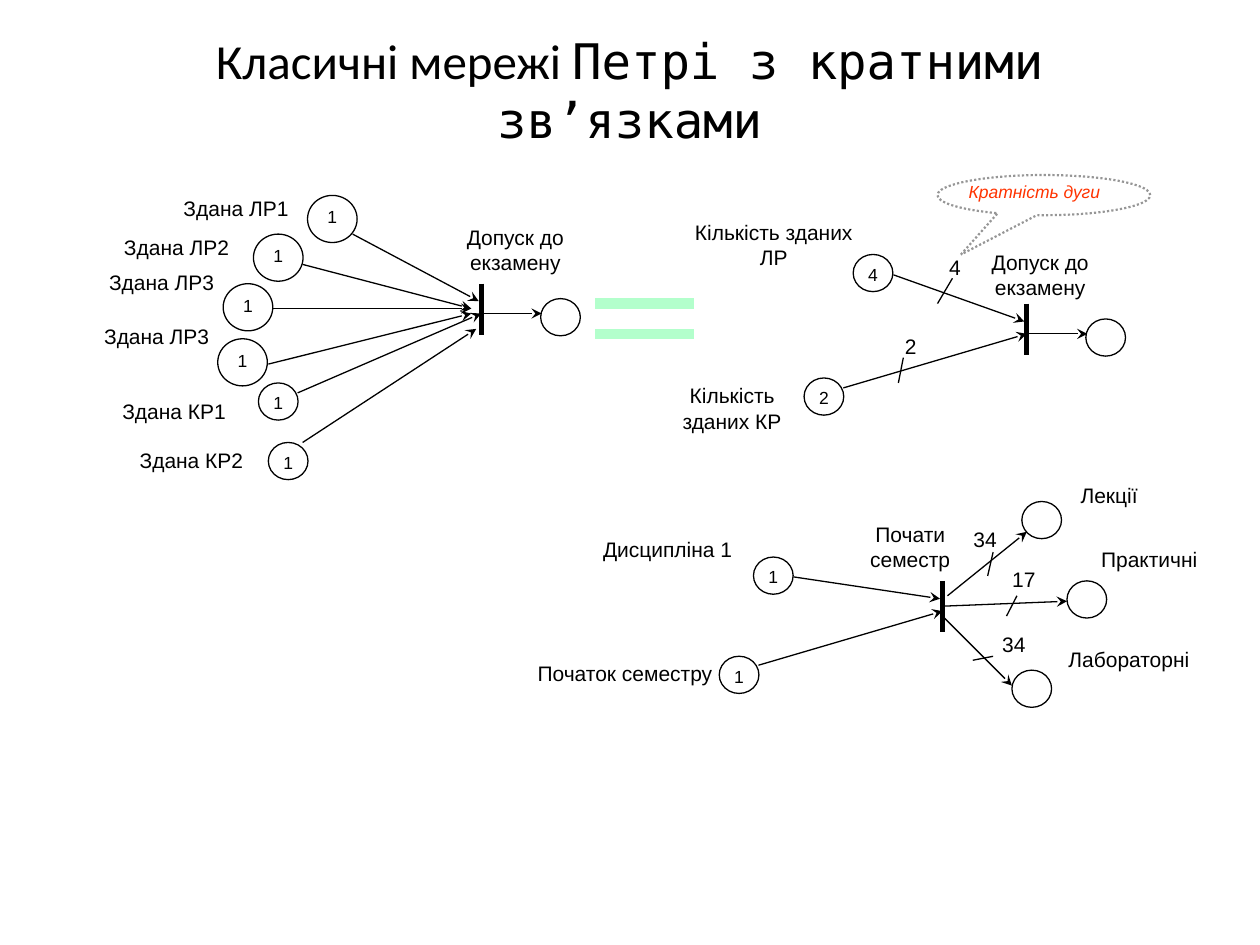
import dataclasses
from typing import Optional

import lxml.etree
import pptx
import pptx.dml.color
import pptx.enum.dml
import pptx.enum.shapes
import pptx.enum.text
import pptx.oxml.ns
import pptx.util

Cm, Pt = pptx.util.Cm, pptx.util.Pt
RGB = pptx.dml.color.RGBColor
SHAPES = pptx.enum.shapes.MSO_SHAPE
CENTER = pptx.enum.text.PP_ALIGN.CENTER
LEFT = pptx.enum.text.PP_ALIGN.LEFT


@dataclasses.dataclass(frozen=True)
class Theme:
    ink: RGB = RGB(0, 0, 0)
    paper: RGB = RGB(255, 255, 255)
    equals: RGB = RGB(0xB3, 0xFF, 0xCC)
    callout_line: RGB = RGB(0x96, 0x96, 0x96)
    callout_text: RGB = RGB(0xFF, 0x33, 0x00)
    body_font: str = "Arial"
    title_fonts: tuple = ("Calibri", "DejaVu Sans Mono")
    title_size: float = 28
    label_size: float = 12
    token_size: float = 10
    thin: float = 0.75
    dotted: float = 1.25
    bar: float = 3
    equals_bar: float = 6


THEME = Theme()
BAR_HEIGHT = 1.04


# All positions and sizes below are in centimetres
@dataclasses.dataclass(frozen=True)
class Label:
    text: str
    left: float
    top: float
    width: float = 0.7
    height: float = 0.5


@dataclasses.dataclass(frozen=True)
class Place:
    left: float
    top: float
    tokens: str = ""
    width: float = 0.8
    height: float = 0.75


@dataclasses.dataclass(frozen=True)
class Segment:
    x1: float
    y1: float
    x2: float
    y2: float


@dataclasses.dataclass(frozen=True)
class Net:
    transition: tuple
    labels: list
    arcs: list
    places: list
    ticks: list = dataclasses.field(default_factory=list)


def big_place(left: float, top: float) -> Place:
    return Place(left, top, "1", 1.0, 0.95)


# Net with one place per passed work
single_arcs = Net(
    transition=(9.7, 5.72),
    labels=[
        Label("Здана ЛР1", 3.51, 3.94, 2.5), Label("Здана ЛР2", 2.31, 4.72, 2.5),
        Label("Здана ЛР3", 2.01, 5.44, 2.5), Label("Здана ЛР3", 1.91, 6.53, 2.5),
        Label("Здана КР1", 1.91, 8.03, 3.2), Label("Здана КР2", 2.51, 9.02, 2.7),
        Label("Допуск до екзамену", 8.99, 4.52, 2.8, 1),
    ],
    arcs=[
        Segment(7.11, 4.72, 9.65, 6.07), Segment(6.1, 5.33, 9.5, 6.22),
        Segment(5.51, 6.22, 9.5, 6.22), Segment(5.41, 7.34, 9.5, 6.32),
        Segment(6, 7.92, 9.7, 6.32), Segment(6.1, 8.92, 9.6, 6.63),
        Segment(9.7, 6.32, 10.92, 6.32),
    ],
    places=[
        big_place(6.2, 3.94), big_place(5.11, 4.72), big_place(4.5, 5.72),
        big_place(4.39, 6.83), Place(5.21, 7.72, "1"), Place(5.41, 8.92, "1"),
        Place(10.9, 6.02),
    ],
)

# Equivalent net with arc multiplicities
multiple_arcs = Net(
    transition=(20.7, 6.12),
    labels=[
        Label("Кількість зданих ЛР", 14, 4.42, 3.2, 1),
        Label("Кількість зданих КР", 13.41, 7.72, 2.7, 1),
        Label("Допуск до екзамену", 19.91, 5.03, 2.12, 1),
        Label("4", 18.9, 5.13), Label("2", 18.01, 6.73),
    ],
    arcs=[
        Segment(18.01, 5.54, 20.65, 6.48), Segment(17, 7.82, 20.7, 6.73),
        Segment(20.7, 6.73, 21.92, 6.73),
    ],
    places=[Place(17.2, 5.13, "4"), Place(16.21, 7.62, "2"), Place(21.89, 6.43)],
    ticks=[Segment(19.2, 5.61, 18.9, 6.12), Segment(18.21, 7.21, 18.11, 7.72)],
)

# Net of the semester start
semester = Net(
    transition=(19, 11.71),
    labels=[
        Label("Дисципліна 1", 11.81, 10.82, 3.3, 0.4),
        Label("Початок семестру", 10.8, 13.31, 3.6, 0.6),
        Label("Почати семестр", 17.3, 10.52, 2.1, 1),
        Label("Лекції", 21.31, 9.73, 2.1), Label("Практичні", 21.62, 11.02, 3.1, 0.6),
        Label("Лабораторні", 21.11, 13.03, 3.3),
        Label("34", 19.51, 10.62), Label("17", 20.29, 11.43), Label("34", 20.09, 12.73),
    ],
    arcs=[
        Segment(16, 11.63, 18.95, 12.07), Segment(15.29, 13.41, 19, 12.32),
        Segment(19.1, 12.01, 20.7, 10.72), Segment(19, 12.22, 21.51, 12.12),
        Segment(19, 12.42, 20.4, 13.82),
    ],
    places=[
        Place(15.19, 11.23, "1"), Place(14.5, 13.23, "1"), Place(20.6, 10.11),
        Place(21.51, 11.71), Place(20.4, 13.51),
    ],
    ticks=[
        Segment(20.02, 11.13, 19.91, 11.61), Segment(20.5, 12.01, 20.29, 12.42),
        Segment(20.02, 13.23, 19.61, 13.31),
    ],
)


def draw_segment(slide, segment: Segment, color: RGB = THEME.ink,
                 weight: float = THEME.thin, arrow: bool = False) -> None:
    ends = [Cm(value) for value in dataclasses.astuple(segment)]
    line = slide.shapes.add_connector(pptx.enum.shapes.MSO_CONNECTOR.STRAIGHT, *ends)
    line.line.color.rgb = color
    line.line.width = Pt(weight)
    qn = pptx.oxml.ns.qn
    properties = line.element.spPr
    if arrow:
        lxml.etree.SubElement(properties.find(qn("a:ln")), qn("a:tailEnd"), type="stealth")
    lxml.etree.SubElement(properties, qn("a:effectLst"))


def draw_shape(slide, kind, box: tuple, outline: RGB, text: str, size: float,
               insets: tuple = (0, 0), color: RGB = THEME.ink,
               align: Optional[pptx.enum.text.PP_ALIGN] = CENTER):
    shape = slide.shapes.add_shape(kind, *(Cm(value) for value in box))
    shape.shadow.inherit = False
    shape.fill.solid()
    shape.fill.fore_color.rgb = THEME.paper
    shape.line.color.rgb = outline
    shape.line.width = Pt(THEME.thin)
    frame = shape.text_frame
    frame.word_wrap = True
    frame.vertical_anchor = pptx.enum.text.MSO_ANCHOR.TOP
    frame.margin_left = frame.margin_right = Cm(insets[0])
    frame.margin_top = frame.margin_bottom = Cm(insets[1])
    frame.text = text
    paragraph = frame.paragraphs[0]
    paragraph.alignment = align
    for run in paragraph.runs:
        run.font.name, run.font.size = THEME.body_font, Pt(size)
        run.font.color.rgb = color
    return shape


def draw_net(slide, net: Net) -> None:
    for label in net.labels:
        box = (label.left, label.top, label.width, label.height)
        draw_shape(slide, SHAPES.RECTANGLE, box, THEME.paper, label.text, THEME.label_size)
    for arc in net.arcs:
        draw_segment(slide, arc, arrow=True)
    for tick in net.ticks:
        draw_segment(slide, tick)
    x, top = net.transition
    draw_segment(slide, Segment(x, top, x, top + BAR_HEIGHT), weight=THEME.bar)
    for place in net.places:
        box = (place.left, place.top, place.width, place.height)
        draw_shape(slide, SHAPES.OVAL, box, THEME.ink, place.tokens,
                   THEME.token_size, insets=(0.15, 0.08))


def draw_callout(slide) -> None:
    callout = draw_shape(slide, SHAPES.OVAL_CALLOUT, (18.9, 3.53, 4.29, 0.81),
                         THEME.callout_line, "Кратність дуги", THEME.token_size,
                         color=THEME.callout_text, align=LEFT)
    callout.line.width = Pt(THEME.dotted)
    callout.line.dash_style = pptx.enum.dml.MSO_LINE.ROUND_DOT
    callout.adjustments[0], callout.adjustments[1] = -0.39, 1.48
    callout.text_frame.paragraphs[0].runs[0].font.italic = True


def draw_title(slide) -> None:
    title = slide.shapes.add_textbox(Cm(1.14), Cm(0.74), Cm(23.11), Cm(2.11))
    frame = title.text_frame
    frame.word_wrap = True
    frame.vertical_anchor = pptx.enum.text.MSO_ANCHOR.MIDDLE
    paragraph = frame.paragraphs[0]
    paragraph.alignment = CENTER
    parts = ("Класичні мережі ", "Петрі з кратними зв’язками")
    for text, font in zip(parts, THEME.title_fonts):
        run = paragraph.add_run()
        run.text = text
        run.font.name, run.font.size = font, Pt(THEME.title_size)
        run.font.color.rgb = THEME.ink


def main() -> None:
    deck = pptx.Presentation()
    deck.slide_width, deck.slide_height = Cm(25.4), Cm(19.05)
    slide = deck.slides.add_slide(deck.slide_layouts[6])
    for net in (semester, multiple_arcs, single_arcs):
        draw_net(slide, net)
    # Equals sign between the two equivalent nets
    for y in (6.12, 6.73):
        draw_segment(slide, Segment(12, y, 14, y), THEME.equals, THEME.equals_bar)
    draw_callout(slide)
    draw_title(slide)
    deck.save("out.pptx")


if __name__ == "__main__":
    main()
